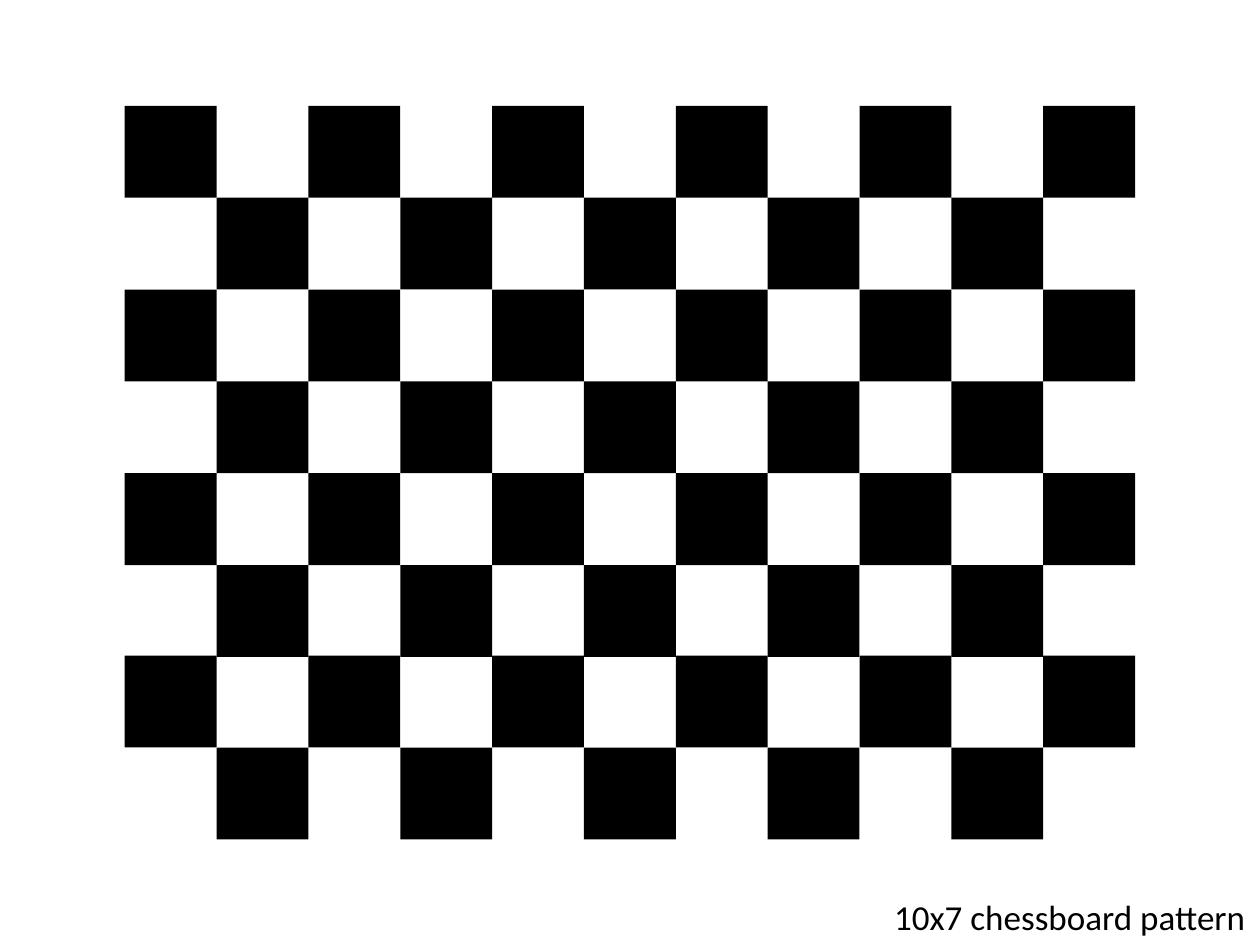
from pptx import Presentation
from pptx.dml.color import RGBColor
from pptx.enum.shapes import MSO_SHAPE
from pptx.enum.text import MSO_AUTO_SIZE, PP_ALIGN
from pptx.util import Inches, Pt

RECT = MSO_SHAPE.RECTANGLE
CENTER = PP_ALIGN.CENTER
GROW = MSO_AUTO_SIZE.SHAPE_TO_FIT_TEXT

# Content
LABEL = "10x7 chessboard pattern"
COLS, ROWS = 11, 8
THEME = {"ink": RGBColor(0, 0, 0), "font": "Calibri", "size": Pt(20)}

# Board: the first and last columns fix the size of a square
LEFT, TOP, LAST = 0.99, 0.84, 8.28
SIDE = (LAST - LEFT) / (COLS - 1)
LOW_ROW, LIFT = 6, 0.01  # the lowest rows sit slightly higher


def add_square(board, row, col):
    top = TOP + row * SIDE - (LIFT if row >= LOW_ROW else 0)
    square = board.shapes.add_shape(
        RECT, Inches(LEFT + col * SIDE), Inches(top), Inches(SIDE), Inches(SIDE))
    square.shadow.inherit = False
    square.fill.solid()
    square.fill.fore_color.rgb = THEME["ink"]
    square.line.fill.background()


def add_label(slide):
    box = slide.shapes.add_textbox(
        Inches(6.98), Inches(7.06), Inches(3.02), Inches(0.44))
    frame = box.text_frame
    frame.text = LABEL
    frame.word_wrap = False
    frame.auto_size = GROW
    line = frame.paragraphs[0]
    line.alignment = CENTER
    font = line.runs[0].font
    font.name, font.size = THEME["font"], THEME["size"]
    font.color.rgb = THEME["ink"]


def main():
    deck = Presentation()
    deck.slide_width, deck.slide_height = Inches(10), Inches(7.5)
    slide = deck.slides.add_slide(deck.slide_layouts[6])

    # Dark squares, grouped as one board
    board = slide.shapes.add_group_shape()
    for row in range(ROWS):
        for col in range(row % 2, COLS, 2):
            add_square(board, row, col)

    # Caption in the lower right corner
    add_label(slide)
    deck.save("out.pptx")


if __name__ == "__main__":
    main()
